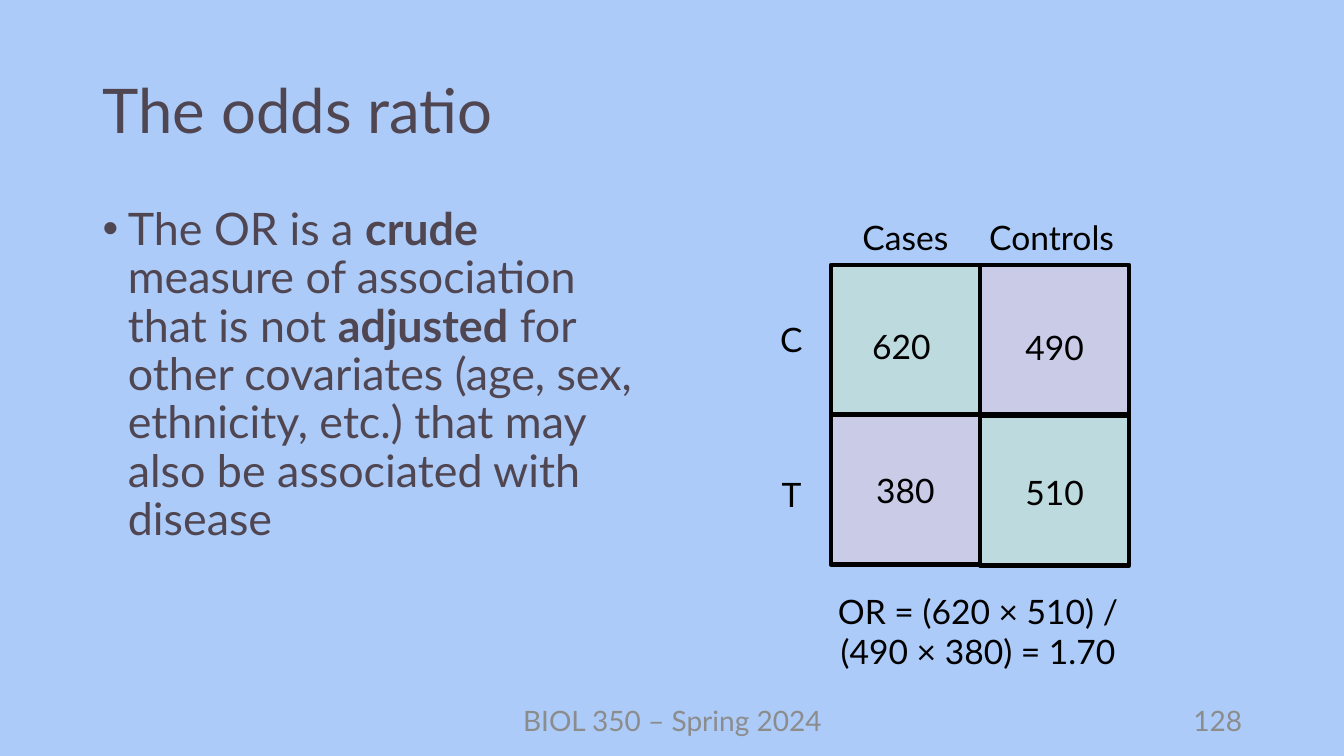
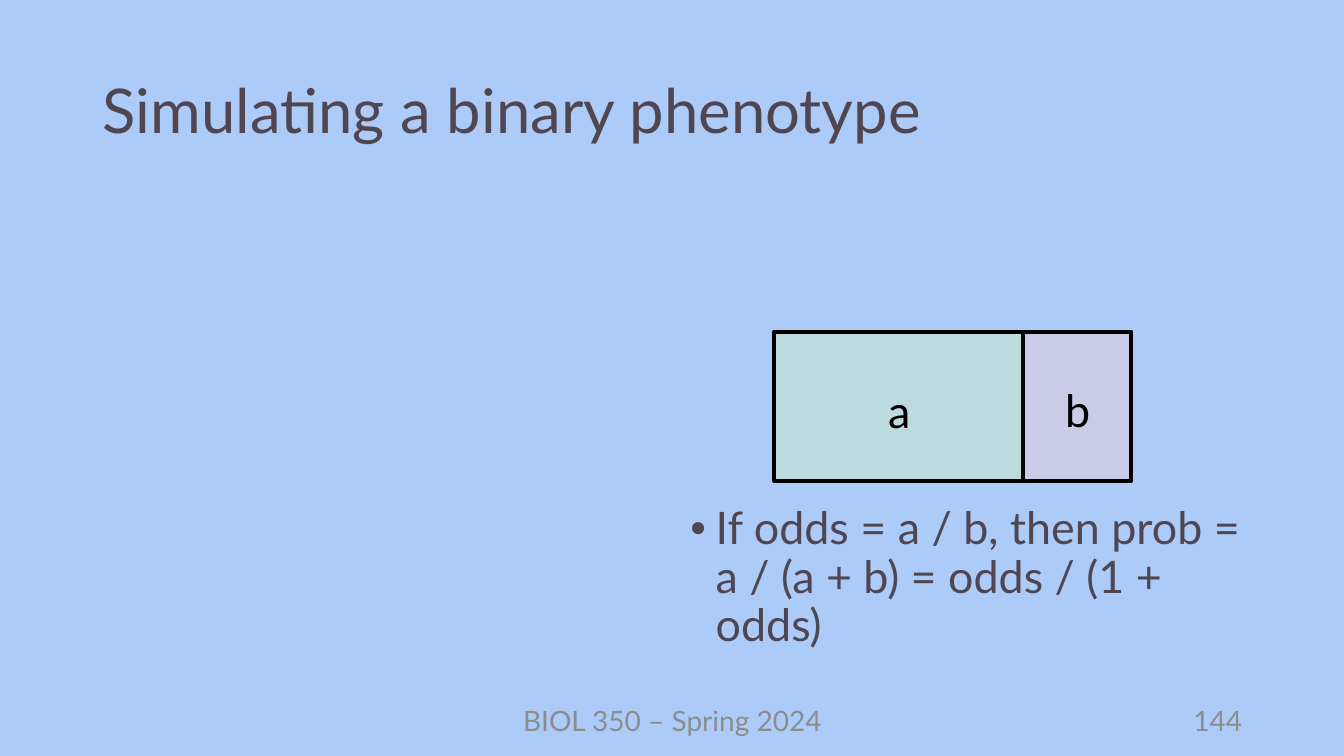
import dataclasses
import pptx
import pptx.dml.color
import pptx.enum.shapes
import pptx.enum.text
import pptx.oxml.ns
import pptx.util
from lxml import etree


@dataclasses.dataclass(frozen=True)
class Theme:
    font: str = "Lato"
    back: str = "ACCBF9"
    ink: str = "504652"
    gray: str = "8C8C8C"
    black: str = "000000"
    teal: str = "BDDADF"
    lilac: str = "C9CBE7"
    title: int = 44
    body: int = 32
    label: int = 24
    foot: int = 20
    edge: int = 3


theme = Theme()
scale = 9144
align = pptx.enum.text.PP_ALIGN
anchor = pptx.enum.text.MSO_ANCHOR
fit = pptx.enum.text.MSO_AUTO_SIZE
rgb = pptx.dml.color.RGBColor.from_string


def write(slide, text, at, size=theme.label, color=theme.black, side=align.CENTER,
          hold=anchor.TOP, lead=None, bullet=False, grow=False):
    frame = slide.shapes.add_textbox(*[n * scale for n in at]).text_frame
    frame.word_wrap = True
    frame.auto_size = fit.SHAPE_TO_FIT_TEXT if grow else fit.NONE
    frame.vertical_anchor = hold
    para = frame.paragraphs[0]
    para.alignment = side
    if lead:
        para.line_spacing = lead
    if bullet:
        props = para._p.get_or_add_pPr()
        props.set("marL", str(25 * scale))
        props.set("indent", str(-25 * scale))
        face = etree.SubElement(props, pptx.oxml.ns.qn("a:buFont"))
        face.set("typeface", "Arial")
        mark = etree.SubElement(props, pptx.oxml.ns.qn("a:buChar"))
        mark.set("char", "•")
    for i, part in enumerate(text.split("*")):
        run = para.add_run()
        run.text = part
        run.font.name = theme.font
        run.font.size = pptx.util.Pt(size)
        run.font.color.rgb = rgb(color)
        run.font.bold = i % 2 == 1


def block(slide, at, fill):
    rect = slide.shapes.add_shape(
        pptx.enum.shapes.MSO_SHAPE.RECTANGLE, *[n * scale for n in at])
    rect.shadow.inherit = False
    rect.fill.solid()
    rect.fill.fore_color.rgb = rgb(fill)
    rect.line.color.rgb = rgb(theme.black)
    rect.line.width = pptx.util.Pt(theme.edge)


cell = 148
pages = [
    dict(
        title="The odds ratio",
        page="128",
        body="The OR is a *crude* measure of association that is not *adjusted* for "
             "other covariates (age, sex, ethnicity, etc.) that may also be associated "
             "with disease",
        area=(92, 200, 567, 476),
        blocks=[
            ((824, 263, cell, cell), theme.teal),
            ((972, 263, cell, cell), theme.lilac),
            ((824, 412, cell, cell), theme.lilac),
            ((972, 413, cell, cell), theme.teal),
        ],
        size=theme.label,
        labels=[
            ("380", (824, 461, cell, 50)),
            ("490", (972, 319, cell, 50)),
            ("510", (972, 463, cell, 50)),
            ("620", (820, 318, cell, 50)),
            ("C", (711, 311, cell, 50)),
            ("T", (711, 465, cell, 50)),
            ("Cases", (824, 210, cell, 50)),
            ("Controls", (969, 210, cell, 50)),
            ("OR = (620 × 510) / (490 × 380) = 1.70", (820, 581, 300, 91)),
        ],
    ),
    dict(
        title="Simulating a binary phenotype",
        page="144",
        body="If odds = a / b, then prob = a / (a + b) = odds / (1 + odds)",
        area=(675, 497, 567, 178),
        blocks=[
            ((768, 329, 247, cell), theme.teal),
            ((1015, 329, 107, cell), theme.lilac),
        ],
        size=theme.body,
        labels=[
            ("a", (819, 376, 146, 64)),
            ("b", (996, 375, 146, 64)),
        ],
    ),
]

deck = pptx.Presentation()
deck.slide_width = 1333 * scale
deck.slide_height = 750 * scale

for page in pages:
    slide = deck.slides.add_slide(deck.slide_layouts[6])
    slide.background.fill.solid()
    slide.background.fill.fore_color.rgb = rgb(theme.back)
    write(slide, page["title"], (92, 40, 1150, 145), size=theme.title,
          color=theme.ink, side=align.LEFT, hold=anchor.MIDDLE, lead=0.9)
    write(slide, page["body"], page["area"], size=theme.body, color=theme.ink,
          side=align.LEFT, lead=0.9, bullet=True)
    write(slide, "BIOL 350 – Spring 2024", (442, 695, 450, 40), size=theme.foot,
          color=theme.gray, hold=anchor.MIDDLE)
    write(slide, page["page"], (942, 695, 300, 40), size=theme.foot,
          color=theme.gray, side=align.RIGHT, hold=anchor.MIDDLE)
    for at, fill in page["blocks"]:
        block(slide, at, fill)
    for text, at in page["labels"]:
        write(slide, text, at, size=page["size"], grow=True)

deck.save("out.pptx")
